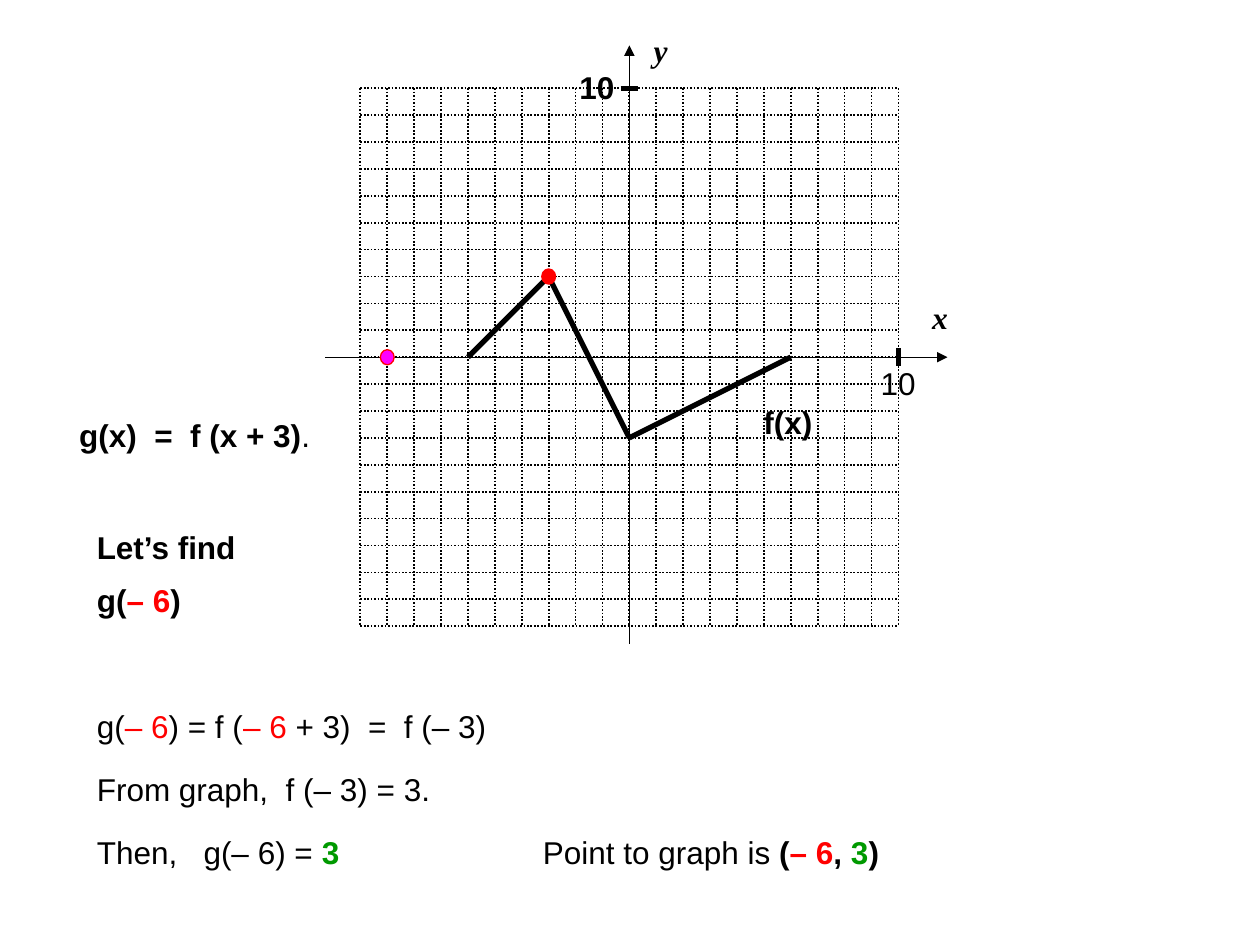
from itertools import pairwise

from lxml import etree
from pptx import Presentation
from pptx.dml.color import RGBColor
from pptx.enum.dml import MSO_LINE
from pptx.enum.shapes import MSO_CONNECTOR, MSO_SHAPE
from pptx.enum.text import MSO_AUTO_SIZE
from pptx.oxml.ns import qn
from pptx.util import Inches, Pt

STRAIGHT = MSO_CONNECTOR.STRAIGHT
OVAL = MSO_SHAPE.OVAL
DOTTED = MSO_LINE.ROUND_DOT
FIT_SHAPE = MSO_AUTO_SIZE.SHAPE_TO_FIT_TEXT

BLACK = RGBColor(0x00, 0x00, 0x00)
RED = RGBColor(0xFF, 0x00, 0x00)
GREEN = RGBColor(0x00, 0x99, 0x00)
MAGENTA = RGBColor(0xFF, 0x00, 0xFF)

# Coordinate plane: 20 by 20 cells, in inches
LEFT, TOP, SIDE = 2.86, 0.7, 4.27
CELLS = 20
CELL = SIDE / CELLS
RIGHT, BOTTOM = LEFT + SIDE, TOP + SIDE

# Spare width that keeps each text on one line
SLACK = 0.06


def plane(x, y):
    """Turn graph coordinates into a slide position in inches."""
    return LEFT + (x + 10) * CELL, TOP + (10 - y) * CELL


def add_run(paragraph, text, font="Arial", size=18, color=BLACK, bold=False, italic=False):
    run = paragraph.add_run()
    run.text = text
    run.font.name = font
    run.font.size = Pt(size)
    run.font.color.rgb = color
    run.font.bold = bold
    run.font.italic = italic


class GraphSlide:
    """Draws the elements of one slide in a shared style."""

    def __init__(self, slide):
        self.slide = slide

    def line(self, start, end, width=1, dash=None, arrow=False):
        connector = self.slide.shapes.add_connector(
            STRAIGHT, *(Inches(value) for value in (*start, *end)))
        connector.line.color.rgb = BLACK
        connector.line.width = Pt(width)
        if dash:
            connector.line.dash_style = dash
        if arrow:
            tail = etree.SubElement(connector.line._get_or_add_ln(), qn("a:tailEnd"))
            tail.set("type", "triangle")
        etree.SubElement(connector._element.spPr, qn("a:effectLst"))

    def dot(self, x, y, fill):
        center_x, center_y = plane(x, y)
        width, height = 0.11, 0.12
        shape = self.slide.shapes.add_shape(
            OVAL, Inches(center_x - width / 2), Inches(center_y - height / 2),
            Inches(width), Inches(height))
        shape.shadow.inherit = False
        shape.fill.solid()
        shape.fill.fore_color.rgb = fill
        shape.line.color.rgb = RED
        shape.line.width = Pt(0.75)

    def text(self, left, top, width, *runs, **style):
        """Each run is a (text, changes to the style) pair."""
        box = self.slide.shapes.add_textbox(
            Inches(left), Inches(top), Inches(width + SLACK), Inches(0.4))
        box.text_frame.word_wrap = False
        box.text_frame.auto_size = FIT_SHAPE
        paragraph = box.text_frame.paragraphs[0]
        for text, changes in runs:
            add_run(paragraph, text, **{**style, **changes})


def main():
    presentation = Presentation()
    presentation.slide_width = Inches(10)
    presentation.slide_height = Inches(7.5)
    graph = GraphSlide(presentation.slides.add_slide(presentation.slide_layouts[6]))
    plain, red, green = {}, {"color": RED}, {"color": GREEN}

    # Graph of f
    corners = [(-6, 0), (-3, 3), (0, -3), (6, 0)]
    for start, end in pairwise(corners):
        graph.line(plane(*start), plane(*end), width=3)

    # Grid
    for index in range(CELLS + 1):
        x, y = LEFT + index * CELL, TOP + index * CELL
        graph.line((x, TOP), (x, BOTTOM), dash=DOTTED)
        graph.line((LEFT, y), (RIGHT, y), dash=DOTTED)

    # Axes and the marks at 10
    origin_x, origin_y = plane(0, 0)
    tick = 0.07
    graph.line((origin_x, 5.11), (origin_x, 0.36), width=0.75, arrow=True)
    graph.line((2.58, origin_y), (7.52, origin_y), width=0.75, arrow=True)
    graph.line((RIGHT, origin_y - tick), (RIGHT, origin_y + tick), width=3)
    graph.line((origin_x - tick, TOP), (origin_x + tick, TOP), width=3)

    # Graph labels
    axis_style = {"font": "Times New Roman", "bold": True, "italic": True}
    graph.text(5.09, 0.2, 0.31, ("y", axis_style))
    graph.text(7.3, 2.32, 0.32, ("x", axis_style))
    graph.text(6.89, 2.84, 0.48, ("10", plain))
    graph.text(4.5, 0.49, 0.48, ("10", plain), bold=True)
    graph.text(5.96, 3.15, 0.59, ("f(x)", plain), bold=True)

    # Highlighted points
    graph.dot(-3, 3, RED)
    graph.dot(-9, 0, MAGENTA)

    # Question
    graph.text(0.53, 3.25, 2.03, ("g(x)  =  f (x + 3)", plain), (".", {"bold": False}),
               bold=True)
    graph.text(0.67, 4.14, 1.31, ("Let’s find", plain), bold=True)
    graph.text(0.67, 4.56, 0.86, ("g(", plain), ("– 6", red), (")", plain), bold=True)

    # Working and answer
    graph.text(0.67, 5.56, 3.36, ("g(", plain), ("– 6", red), (") = f (", plain),
               ("– 6", red), (" + 3)  =  f (– 3)", plain))
    graph.text(0.67, 6.06, 2.89, ("From graph,  f (– 3) = 3.", plain))
    graph.text(0.67, 6.56, 2.19, ("Then,   g(– 6) = ", plain),
               ("3", {"color": GREEN, "bold": True}))
    graph.text(4.21, 6.56, 2.86, ("Point to graph is ", {"bold": False}), ("(", plain),
               ("– 6", red), (", ", plain), ("3", green), (")", plain), bold=True)

    presentation.save("out.pptx")


if __name__ == "__main__":
    main()
